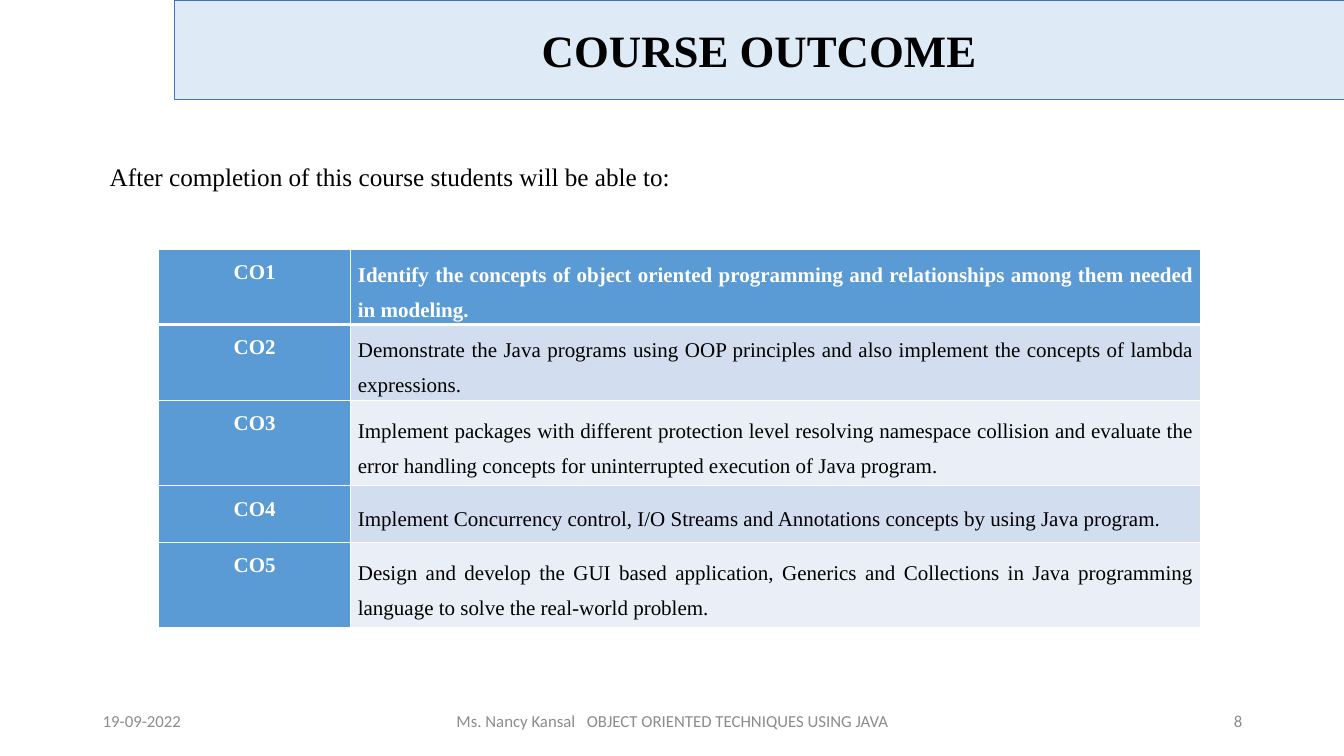
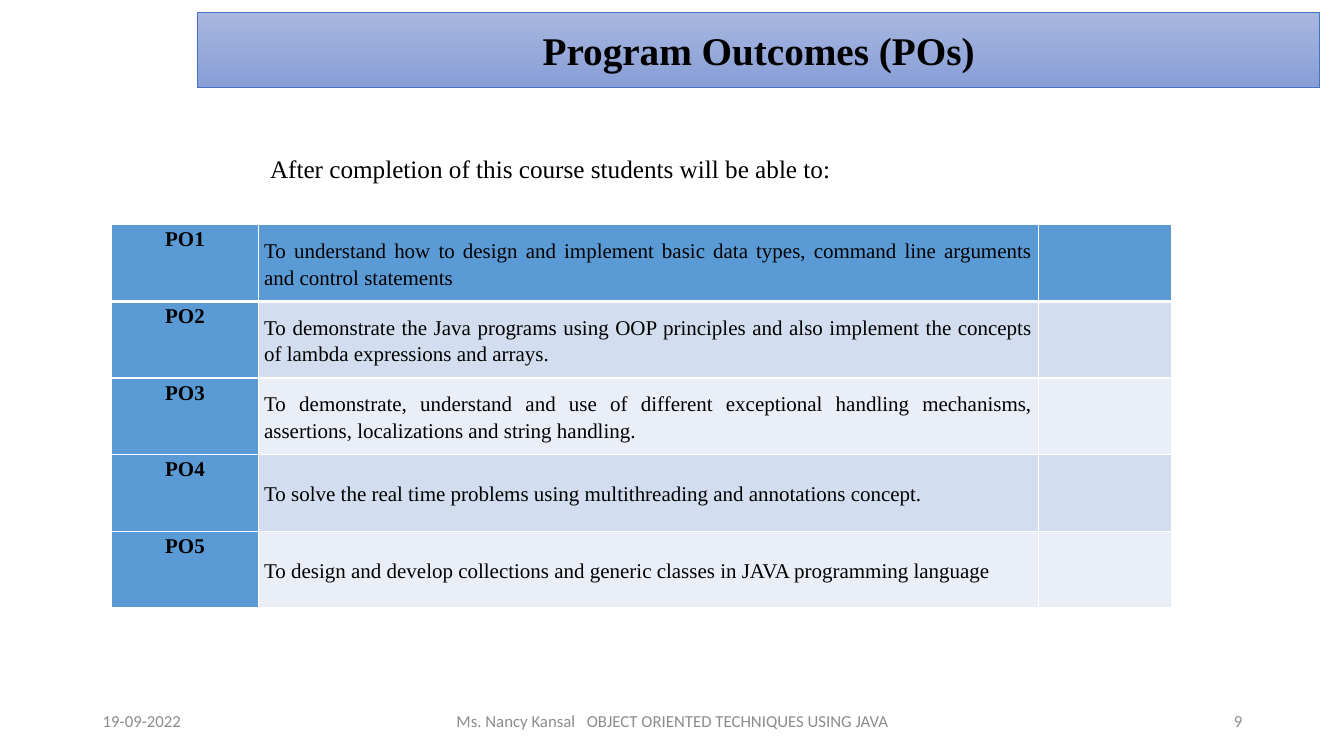
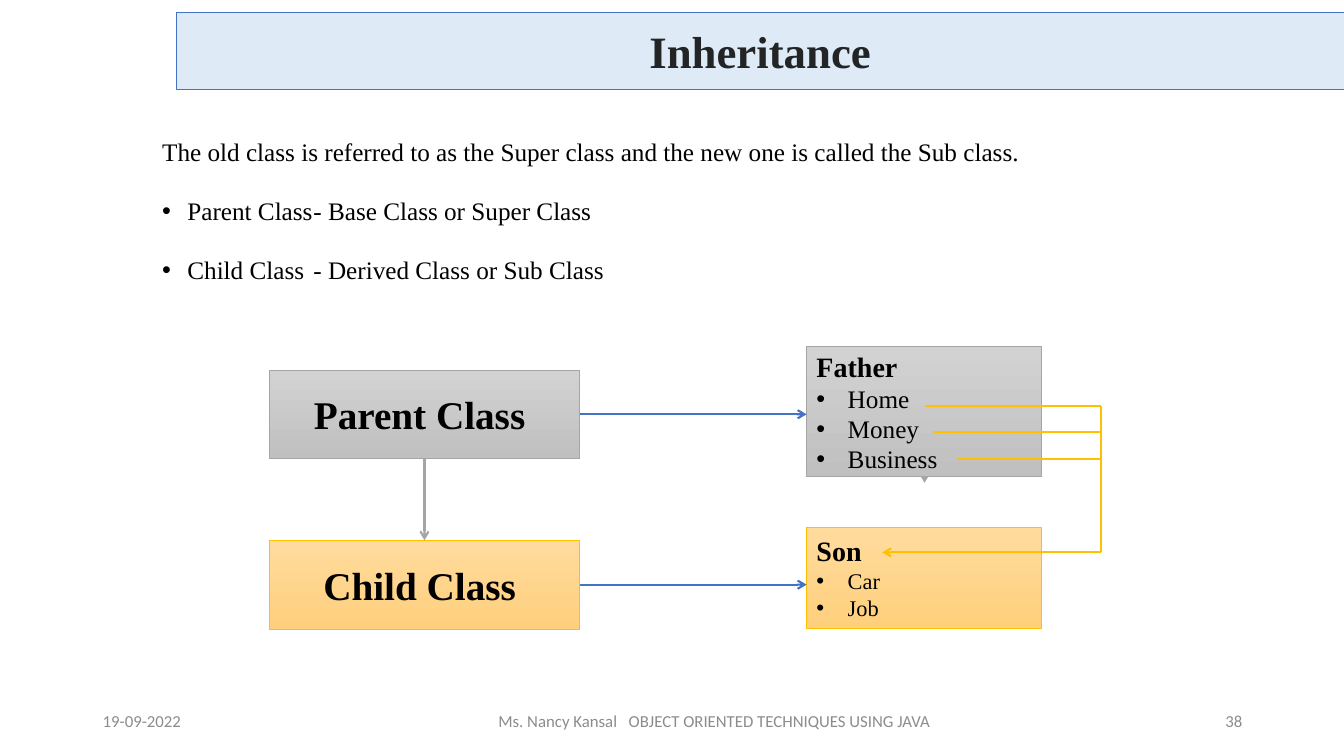
"""Build three lecture slides: course outcomes, program outcomes and inheritance."""
from lxml import etree
from pptx import Presentation
from pptx import util as u
from pptx.dml.color import RGBColor
from pptx.enum import shapes, text
from pptx.oxml import ns

COLORS = {
    "black": "000000", "white": "FFFFFF", "ink": "222426", "footer": "8C8C8C",
    "blue": "4472C4", "gray": "A5A5A5", "gold": "FFC000", "pale": "DEEBF7",
    "head": "5B9BD5", "band": "D2DEEF", "light": "EAEFF7",
}
GRADIENTS = {
    "blue": ("A8B7DF", "889ED7"),
    "gray": ("D2D2D2", "C0C0C0"),
    "gold": ("FFDB9E", "FFD07C"),
}
SERIF = "Times New Roman"
ALIGN = text.PP_ALIGN
MIDDLE = text.MSO_ANCHOR.MIDDLE
INTRO = "After completion of this course students will be able to:"


def write(frame, lines, sizes, color="black", bold=(False, False), align=ALIGN.LEFT,
          spacing=1.0, before=0, after=0, indent=0.25):
    frame.word_wrap = True
    for index, line in enumerate(lines):
        para = frame.add_paragraph() if index else frame.paragraphs[0]
        para.text = line
        para.alignment = align
        para.line_spacing = spacing
        para.space_after = u.Pt(after)
        level = min(index, 1)
        if index:
            para.space_before = u.Pt(before)
            props = para._p.get_or_add_pPr()
            props.set("marL", str(u.Inches(indent)))
            props.set("indent", str(-u.Inches(indent)))
            etree.SubElement(props, ns.qn("a:buFont"), typeface="Arial")
            etree.SubElement(props, ns.qn("a:buChar"), char="•")
        para.font.name = SERIF
        para.font.size = u.Pt(sizes[level])
        para.font.bold = bold[level]
        para.font.color.rgb = RGBColor.from_string(COLORS[color])


def add_box(page, place, line, fill=None):
    box = page.shapes.add_shape(shapes.MSO_SHAPE.RECTANGLE, *map(u.Inches, place))
    box.shadow.inherit = False
    if fill:
        box.fill.solid()
        box.fill.fore_color.rgb = RGBColor.from_string(COLORS[fill])
    else:
        box.fill.gradient()
        box.fill.gradient_angle = 270
        for stop, shade in zip(box.fill.gradient_stops, GRADIENTS[line]):
            stop.color.rgb = RGBColor.from_string(shade)
    box.line.color.rgb = RGBColor.from_string(COLORS[line])
    box.line.width = u.Pt(0.5)
    box.text_frame.vertical_anchor = MIDDLE
    return box


deck = Presentation()
deck.slide_width, deck.slide_height = u.Inches(13.33), u.Inches(7.5)
pages = [deck.slides.add_slide(deck.slide_layouts[6]) for _ in range(3)]
course, program, inheritance = pages

titles = [
    ("COURSE OUTCOME", (1.73, 0, 11.6, 0.99), "pale", 32, "black"),
    ("Program Outcomes (POs)", (1.96, 0.12, 11.13, 0.75), None, 28, "black"),
    ("Inheritance", (1.75, 0.12, 11.58, 0.77), "pale", 32, "ink"),
]
for page, (title, place, fill, size, color) in zip(pages, titles):
    band = add_box(page, place, "blue", fill)
    write(band.text_frame, [title], [size], color, [True], ALIGN.CENTER)

bodies = [
    (course, (0.99, 1.59, 11.5, 0.5), [INTRO], 0.9),
    (program, (2.58, 1.47, 6, 0.4), [INTRO], 1.0),
    (inheritance, (1.51, 1.15, 11.42, 1.85), [
        "The old class is referred to as the Super class and the new one is called the Sub class.",
        "Parent Class\t- Base Class or Super Class",
        "Child Class\t- Derived Class or Sub Class",
    ], 1.5),
]
for page, place, lines, spacing in bodies:
    body = page.shapes.add_textbox(*map(u.Inches, place))
    write(body.text_frame, lines, (18, 18), spacing=spacing, before=10)

course_outcomes = [
    "Identify the concepts of object oriented programming and relationships among them needed in modeling.",
    "Demonstrate the Java programs using OOP principles and also implement the concepts of lambda expressions.",
    "Implement packages with different protection level resolving namespace collision and evaluate the error handling concepts for uninterrupted execution of Java program.",
    "Implement Concurrency control, I/O Streams and Annotations concepts by using Java program.",
    "Design and develop the GUI based application, Generics and Collections in Java programming language to solve the real-world problem.",
]
program_outcomes = [
    "To understand how to design and implement basic data types, command line arguments and control statements",
    "To demonstrate the Java programs using OOP principles and also implement the concepts of lambda expressions and arrays.",
    "To demonstrate, understand and use of different exceptional handling mechanisms, assertions, localizations and string handling.",
    "To solve the real time problems using multithreading and annotations concept.",
    "To design and develop collections and generic classes in JAVA programming language",
]
tables = [
    (course, "CO", course_outcomes, (1.57, 2.47), (1.91, 8.43),
     (0.56, 0.56, 0.85, 0.56, 0.85), 0.07, 1.5, "white"),
    (program, "PO", program_outcomes, (1.11, 2.23), (1.45, 7.74, 1.32),
     (0.76,) * 5, 0.06, 1.15, "black"),
]
for page, prefix, outcomes, corner, widths, heights, margin, spacing, head_color in tables:
    place = (*corner, sum(widths), sum(heights))
    table = page.shapes.add_table(len(heights), len(widths), *map(u.Inches, place)).table
    table.first_row = table.horz_banding = False
    for column, width in zip(table.columns, widths):
        column.width = u.Inches(width)
    for r, (outcome, height) in enumerate(zip(outcomes, heights)):
        table.rows[r].height = u.Inches(height)
        for c in range(len(widths)):
            cell = table.cell(r, c)
            is_head = r == 0 or c == 0
            fill = "head" if is_head else ("light", "band")[r % 2]
            cell.fill.solid()
            cell.fill.fore_color.rgb = RGBColor.from_string(COLORS[fill])
            cell.margin_left = cell.margin_right = u.Inches(margin)
            cell.margin_top = cell.margin_bottom = 0
            if c == 0:
                write(cell.text_frame, [f"{prefix}{r + 1}"], [15], head_color, [True],
                      ALIGN.CENTER, spacing, after=10)
            elif c == 1:
                cell.vertical_anchor = MIDDLE
                bold = r == 0 and page is course
                write(cell.text_frame, [outcome], [15], head_color if is_head else "black",
                      [bold], ALIGN.JUSTIFY, spacing, after=10)
            props = cell._tc.get_or_add_tcPr()
            for position, side in enumerate("LRTB"):
                thick = (r, side) in ((0, "B"), (1, "T"))
                border = etree.Element(ns.qn(f"a:ln{side}"), w=str(u.Pt(3 if thick else 1)))
                paint = etree.SubElement(border, ns.qn("a:solidFill"))
                etree.SubElement(paint, ns.qn("a:srgbClr"), val=COLORS["white"])
                props.insert(position, border)

connectors = [(inheritance.shapes.add_connector(
    shapes.MSO_CONNECTOR.STRAIGHT, *map(u.Inches, (9.17, 4.29, 9.17, 4.79))), "gray", True)]

classes = {}
for name, line, top in (("Parent Class", "gray", 3.67), ("Child Class", "gold", 5.36)):
    classes[name] = add_box(inheritance, (2.67, top, 3.08, 0.88), line)
    write(classes[name].text_frame, [name + " "], [28], bold=[True], align=ALIGN.CENTER)

members = [
    (["Father", "Home", "Money", "Business"], "gray", 3.44, 1.29, 18),
    (["Son", "Car", "Job"], "gold", 5.23, 1, 16),
]
for lines, line, top, height, size in members:
    member = add_box(inheritance, (8, top, 2.33, height), line)
    write(member.text_frame, lines, (20, size), bold=(True, False), indent=0.31)

links = [
    ((4.21, 4.55, 4.21, 5.36), "gray", True, ("Parent Class", 2), ("Child Class", 0)),
    ((9.17, 4.03, 10.92, 4.03), "gold", False, None, None),
    ((9.25, 4.29, 10.92, 4.29), "gold", False, None, None),
    ((9.5, 4.55, 10.92, 4.55), "gold", False, None, None),
    ((10.92, 4.03, 10.92, 5.48), "gold", False, None, None),
    ((10.92, 5.48, 8.75, 5.48), "gold", True, None, None),
    ((5.75, 4.11, 8, 4.11), "blue", True, ("Parent Class", 3), None),
    ((5.75, 5.8, 8, 5.8), "blue", True, ("Child Class", 3), None),
]
for ends, color, arrow, start, finish in links:
    link = inheritance.shapes.add_connector(shapes.MSO_CONNECTOR.STRAIGHT, *map(u.Inches, ends))
    if start:
        link.begin_connect(classes[start[0]], start[1])
    if finish:
        link.end_connect(classes[finish[0]], finish[1])
    connectors.append((link, color, arrow))

for link, color, arrow in connectors:
    link.line.color.rgb = RGBColor.from_string(COLORS[color])
    link.line.width = u.Pt(1.5)
    if arrow:
        etree.SubElement(link.line._get_or_add_ln(), ns.qn("a:tailEnd"), type="arrow")
    etree.SubElement(link._element.spPr, ns.qn("a:effectLst"))

lecturer = [("Ms. Nancy Kansal", 0), (" ", 540), ("OBJECT ORIENTED TECHNIQUES USING JAVA", 0)]
footers = [("8", 4.42, 4.5), ("9", 4.42, 4.5), ("38", 4, 6.17)]
for page, (number, left, width) in zip(pages, footers):
    parts = [
        ([("19-09-2022", 0)], 0.92, 3, ALIGN.LEFT),
        (lecturer, left, width, ALIGN.CENTER),
        ([(number, 0)], 9.42, 3, ALIGN.RIGHT),
    ]
    for words, x, span_width, align in parts:
        footer = page.shapes.add_textbox(*map(u.Inches, (x, 6.95, span_width, 0.4)))
        footer.text_frame.word_wrap = True
        footer.text_frame.vertical_anchor = MIDDLE
        para = footer.text_frame.paragraphs[0]
        para.alignment = align
        para.font.name = "Calibri"
        para.font.size = u.Pt(12)
        para.font.color.rgb = RGBColor.from_string(COLORS["footer"])
        for word, gap in words:
            span = para.add_run()
            span.text = word
            if gap:
                span._r.get_or_add_rPr().set("spc", str(gap))

deck.save("out.pptx")
